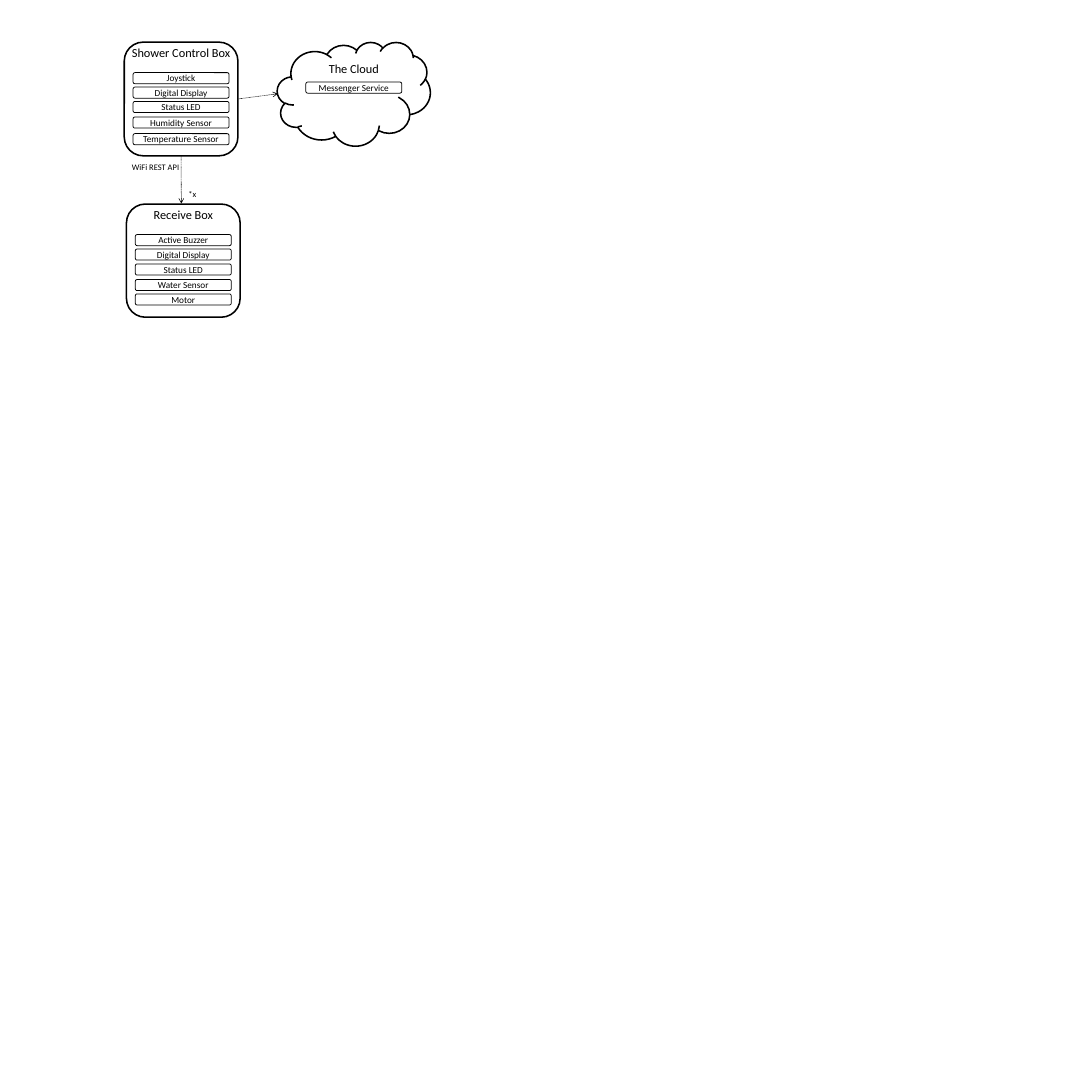
"""Draw a block diagram of a shower control box, its receiver and the cloud."""
from lxml.etree import SubElement
from pptx import Presentation
from pptx.dml.color import RGBColor
from pptx.enum.dml import MSO_LINE
from pptx.enum.shapes import MSO_CONNECTOR, MSO_SHAPE
from pptx.enum.text import MSO_ANCHOR, MSO_AUTO_SIZE, PP_ALIGN
from pptx.oxml.ns import qn
from pptx.util import Inches, Pt

BLACK = RGBColor(0x00, 0x00, 0x00)
WHITE = RGBColor(0xFF, 0xFF, 0xFF)

CELL = 0.1
SLIDE_CELLS = 196.9
PART_WIDTH, PART_HEIGHT = 17.3, 2
TITLE_HEIGHT, LABEL_WIDTH, LABEL_HEIGHT = 3.7, 14.2, 2.9

CARDS = [
    {"title": "The Cloud", "kind": MSO_SHAPE.CLOUD, "at": (50, 7.6, 27.6, 18.7),
     "title_row": 3, "title_width": 11.2,
     "parts": [("Messenger Service", 7.2)]},
    {"title": "Shower Control Box", "kind": MSO_SHAPE.ROUNDED_RECTANGLE, "at": (22.4, 7.6, 20.5, 20.5),
     "title_row": 0, "title_width": 20,
     "parts": [("Joystick", 5.5), ("Digital Display", 8.1), ("Status LED", 10.7),
               ("Humidity Sensor", 13.5), ("Temperature Sensor", 16.5)]},
    {"title": "Receive Box", "kind": MSO_SHAPE.ROUNDED_RECTANGLE, "at": (22.8, 36.8, 20.5, 20.4),
     "title_row": 0, "title_width": 12.9,
     "parts": [("Active Buzzer", 5.5), ("Digital Display", 8.1), ("Status LED", 10.8),
               ("Water Sensor", 13.6), ("Motor", 16.2)]},
]
LABELS = [("WiFi REST API", 22.8, 28.8), ("*x", 33, 33.6)]
ARROWS = [
    {"source": "Shower Control Box", "site": 2, "start": (32.7, 28.1), "end": (32.7, 36.7)},
    {"source": "Shower Control Box", "site": 3, "start": (42.9, 17.8), "end": (50.1, 16.9)},
]


def cells(*counts):
    return [Inches(count * CELL) for count in counts]


def apply(target, settings):
    for name, value in settings.items():
        setattr(target, name, value)


def write(shape, words, size, align, frame_format):
    apply(shape.text_frame, frame_format)
    para = shape.text_frame.paragraphs[0]
    para.alignment = align
    span = para.add_run()
    span.text = words
    apply(span.font, {"name": "Calibri", "size": Pt(size)})
    span.font.color.rgb = BLACK


def add_outline(page, kind, place, weight):
    shape = page.shapes.add_shape(kind, *cells(*place))
    shape.shadow.inherit = False
    shape.fill.solid()
    shape.fill.fore_color.rgb = WHITE
    shape.line.color.rgb = BLACK
    shape.line.width = Pt(weight)
    return shape


def add_text(page, words, place, size, align, wrap):
    box = page.shapes.add_textbox(*cells(*place))
    write(box, words, size, align,
          {"word_wrap": wrap, "auto_size": MSO_AUTO_SIZE.SHAPE_TO_FIT_TEXT})


def add_card(page, card):
    left, top, width, height = card["at"]
    middle = left + width / 2
    outline = add_outline(page, card["kind"], card["at"], 2)
    title_width = card["title_width"]
    title_place = (middle - title_width / 2, top + card["title_row"], title_width, TITLE_HEIGHT)
    add_text(page, card["title"], title_place, 16, PP_ALIGN.CENTER, False)
    for words, row in card["parts"]:
        place = (middle - PART_WIDTH / 2, top + row, PART_WIDTH, PART_HEIGHT)
        part = add_outline(page, MSO_SHAPE.ROUNDED_RECTANGLE, place, 1)
        write(part, words, 12, PP_ALIGN.CENTER,
              {"word_wrap": True, "vertical_anchor": MSO_ANCHOR.MIDDLE})
    return outline


def add_arrow(page, arrow, outlines):
    line = page.shapes.add_connector(MSO_CONNECTOR.STRAIGHT, *cells(*arrow["start"], *arrow["end"]))
    line.begin_connect(outlines[arrow["source"]], arrow["site"])
    line.line.color.rgb = BLACK
    apply(line.line, {"width": Pt(0.75), "dash_style": MSO_LINE.ROUND_DOT})
    SubElement(line.line._get_or_add_ln(), qn("a:tailEnd"), type="arrow")
    SubElement(line._element.spPr, qn("a:effectLst"))


def main():
    deck = Presentation()
    side = Inches(SLIDE_CELLS * CELL)
    apply(deck, {"slide_width": side, "slide_height": side})
    page = deck.slides.add_slide(deck.slide_layouts[6])
    outlines = {card["title"]: add_card(page, card) for card in CARDS}
    for words, left, top in LABELS:
        add_text(page, words, (left, top, LABEL_WIDTH, LABEL_HEIGHT), 11, PP_ALIGN.LEFT, True)
    for arrow in ARROWS:
        add_arrow(page, arrow, outlines)
    deck.save("out.pptx")


if __name__ == "__main__":
    main()
